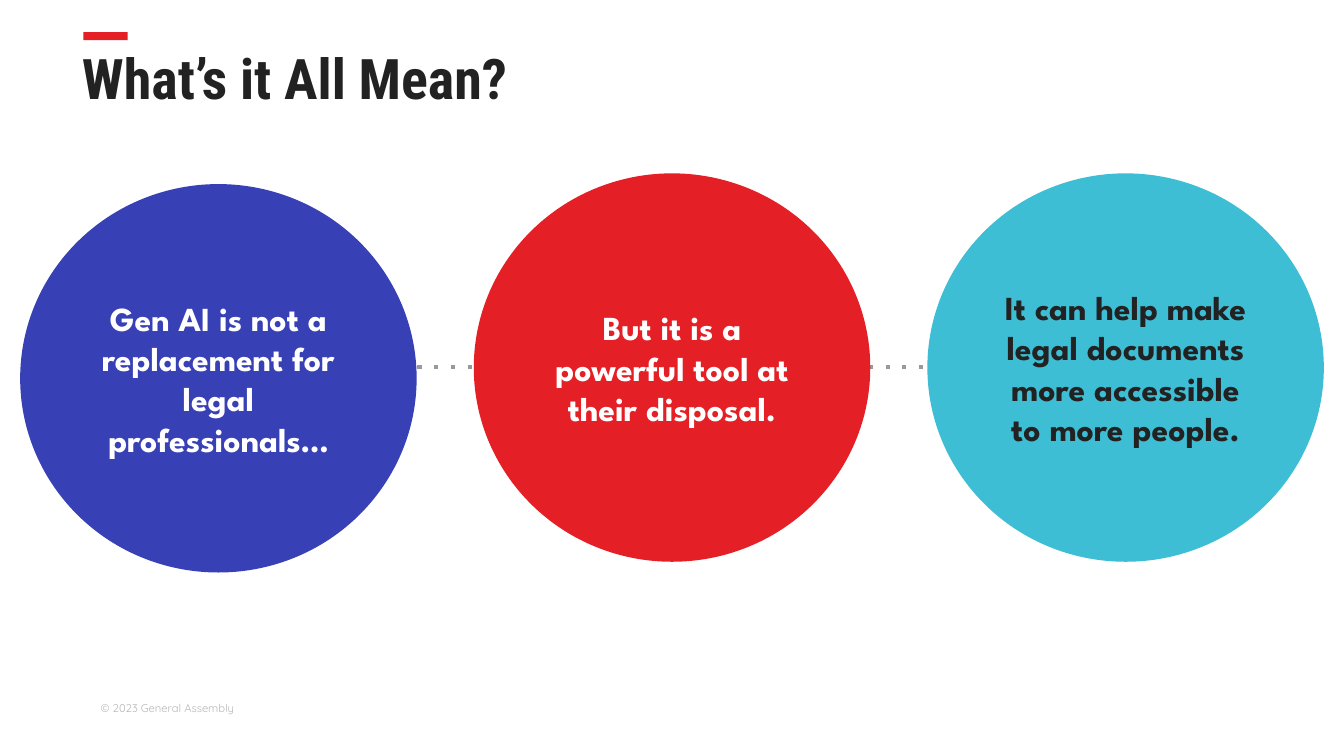
"""Build a slide with three linked circles that sum up the talk."""
from lxml import etree
from pptx import Presentation
from pptx.dml.color import RGBColor
from pptx.enum.shapes import MSO_CONNECTOR, MSO_SHAPE
from pptx.enum.text import MSO_ANCHOR, PP_ALIGN
from pptx.oxml.ns import qn
from pptx.util import Inches, Pt

RECT, OVAL = MSO_SHAPE.RECTANGLE, MSO_SHAPE.OVAL
LINE = MSO_CONNECTOR.STRAIGHT
TOP, MIDDLE = MSO_ANCHOR.TOP, MSO_ANCHOR.MIDDLE
LEFT, CENTER = PP_ALIGN.LEFT, PP_ALIGN.CENTER
RED, DARK, WHITE = "E41F26", "222222", "FFFFFF"


def write(shape, text, look, color, align, anchor, inset):
    frame = shape.text_frame
    frame.text = text
    frame.word_wrap = True
    frame.vertical_anchor = anchor
    for side in ("left", "top", "right", "bottom"):
        setattr(frame, f"margin_{side}", Inches(inset))
    para = frame.paragraphs[0]
    para.alignment = align
    font = para.runs[0].font
    for key, value in look.items():
        setattr(font, key, value)
    font.color.rgb = RGBColor.from_string(color)
    return para


def draw(kind, box, color):
    shape = slide.shapes.add_shape(kind, *map(Inches, box))
    shape.shadow.inherit = False
    shape.fill.solid()
    shape.fill.fore_color.rgb = RGBColor.from_string(color)
    shape.line.fill.background()
    return shape


deck = Presentation()
deck.slide_width = Inches(10)
deck.slide_height = Inches(10 * 9 / 16)
slide = deck.slides.add_slide(deck.slide_layouts[5])

title = slide.shapes.title
place = {"left": 0.61, "top": 0.38, "width": 8.25, "height": 0.45}
for key, value in place.items():
    setattr(title, key, Inches(value))
head = {"name": "Roboto Condensed", "size": Pt(30), "bold": True}
para = write(title, "What’s it All Mean?", head, DARK, LEFT, TOP, 0)
para.line_spacing = 0.9

draw(RECT, (0.62, 0.24, 0.33, 0.06), RED)

note = slide.shapes.add_textbox(*map(Inches, (0.75, 5.17, 1, 0.2)))
small = {"name": "Quicksand", "size": Pt(6)}
write(note, "© 2023 General Assembly", small, "B7B7B7", LEFT, MIDDLE, 0)

ends = map(Inches, (1.24, 2.73, 7.73, 2.73))
link = slide.shapes.add_connector(LINE, *ends)
link.line.color.rgb = RGBColor.from_string("999999")
link.line.width = Pt(2.25)
stroke = link._element.spPr.find(qn("a:ln"))
etree.SubElement(stroke, qn("a:prstDash"), val="dot")
etree.SubElement(link._element.spPr, qn("a:effectLst"))

points = [
    ("Gen AI is not a replacement for legal professionals…", 1.37, "3740B5", WHITE),
    ("But it is a powerful tool at their disposal.", 1.29, RED, WHITE),
    ("It can help make legal documents more accessible to more people.", 1.29, "3DBED4", DARK),
]
bold = {"name": "League Spartan", "size": Pt(18), "bold": True}
step = (6.9 - 0.15) / 2
for i, (text, top, fill, ink) in enumerate(points):
    disc = draw(OVAL, (0.15 + step * i, top, 2.95, 2.89), fill)
    write(disc, text, bold, ink, CENTER, MIDDLE, 0.1)

deck.save("out.pptx")
